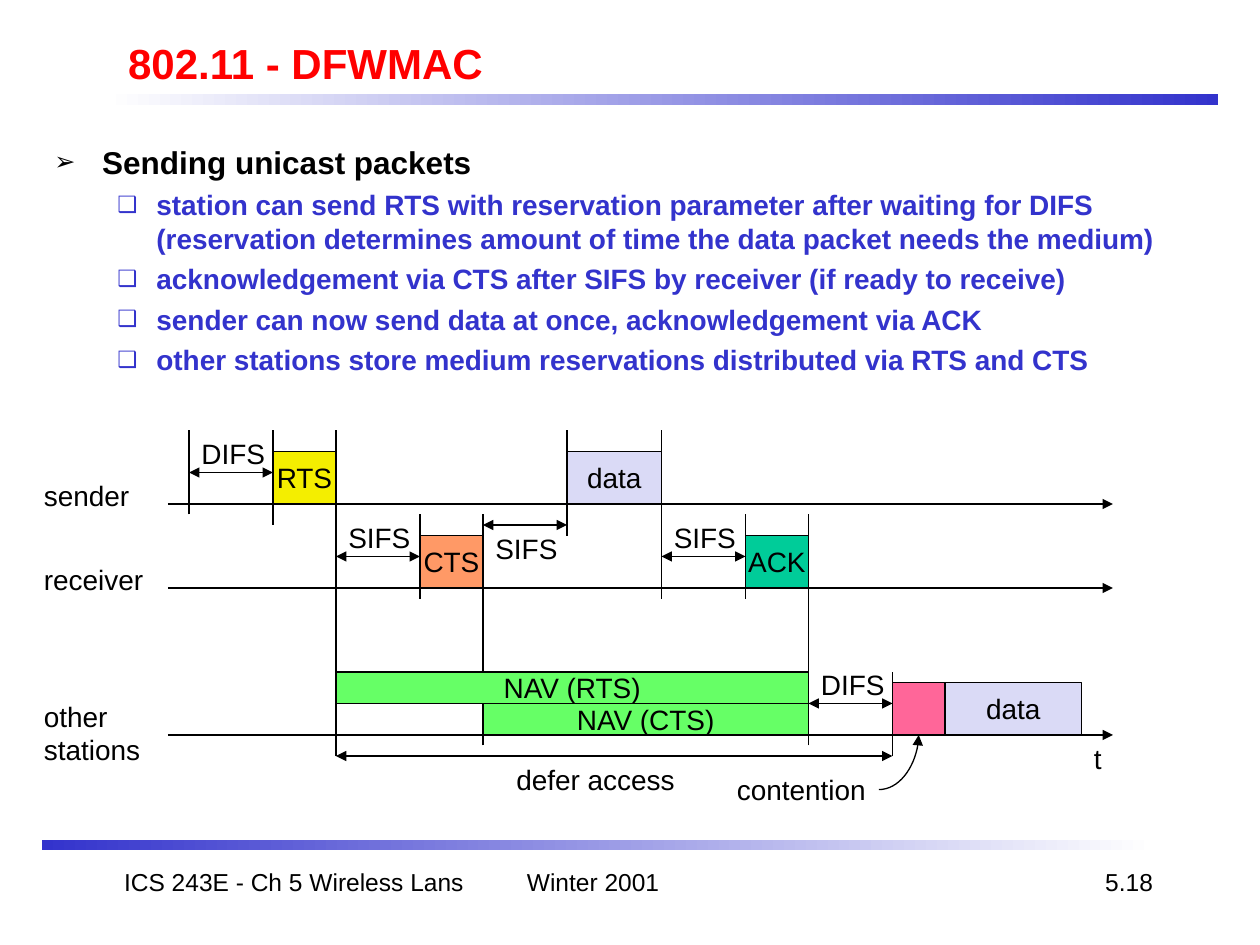
from lxml.etree import SubElement
from pptx import Presentation
from pptx.dml.color import RGBColor
from pptx.enum.shapes import MSO_CONNECTOR, MSO_SHAPE
from pptx.enum.text import MSO_ANCHOR, MSO_AUTO_SIZE, PP_ALIGN
from pptx.oxml.ns import qn
from pptx.util import Inches, Pt

BLACK = RGBColor(0x00, 0x00, 0x00)
WHITE = RGBColor(0xFF, 0xFF, 0xFF)
RED = RGBColor(0xFF, 0x00, 0x00)
BLUE = RGBColor(0x33, 0x33, 0xCC)
LAVENDER = RGBColor(0xDA, 0xDA, 0xF6)
TEAL = RGBColor(0x00, 0xCC, 0x99)
PINK = RGBColor(0xFF, 0x66, 0x99)
YELLOW = RGBColor(0xF4, 0xEE, 0x00)
ORANGE = RGBColor(0xFF, 0x99, 0x66)
GREEN = RGBColor(0x66, 0xFF, 0x66)

COLUMNS, ROWS = 120, 90
SLIDE_WIDTH, SLIDE_HEIGHT = Inches(10), Inches(7.5)

TITLE = "802.11 - DFWMAC"
TITLE_AREA = (11, 3, 102, 6)
BULLET_AREA = (4, 13, 114, 25)
BULLETS = [
    (0, "Sending unicast packets"),
    (1, "station can send RTS with reservation parameter after waiting for DIFS "
        "(reservation determines amount of time the data packet needs the medium)"),
    (1, "acknowledgement via CTS after SIFS by receiver (if ready to receive)"),
    (1, "sender can now send data at once, acknowledgement via ACK"),
    (1, "other stations store medium reservations distributed via RTS and CTS"),
]
BULLET_LEVELS = [
    dict(mark="➢", color=BLACK, size=18, margin=0.38, hanging=0.38, before=0),
    dict(mark="❑", color=BLUE, size=16, margin=0.81, hanging=0.31, before=4),
]
BARS = [((10, 9, 106, 1), (WHITE, BLUE)), ((4, 80, 106, 1), (BLUE, WHITE))]
FOOTERS = [
    ("ICS 243E - Ch 5 Wireless Lans", (9, 82, 38, 6), PP_ALIGN.CENTER),
    ("Winter 2001", (49, 82, 25, 6), PP_ALIGN.LEFT),
    ("5.18", (86, 82, 25, 6), PP_ALIGN.RIGHT),
]

WAIT, RTS, RTS_END, CTS, CTS_END = 18, 26, 32, 40, 46
DATA, DATA_END, ACK, ACK_END, CONTENTION, NEXT_DATA = 54, 63, 71, 77, 85, 90
SENDER, RECEIVER, OTHERS = 48, 56, 70
AXIS_START, AXIS_END = 16, 106

MARKERS = [
    (WAIT, 41, 49), (RTS, 41, 50), (RTS_END, 41, 72), (CTS, 49, 57),
    (CTS_END, 49, 71), (DATA, 41, 51), (DATA_END, 41, 57), (ACK, 49, 57),
    (ACK_END, 49, 71), (CONTENTION, 64, 72),
]
SPANS = [
    (WAIT, RTS, 45), (RTS_END, CTS, 53), (CTS_END, DATA, 50),
    (DATA_END, ACK, 53), (ACK_END, CONTENTION, 67), (RTS_END, CONTENTION, 72),
]
PACKETS = [
    ("RTS", RTS, RTS_END, SENDER, 5, YELLOW),
    ("data", DATA, DATA_END, SENDER, 5, LAVENDER),
    ("CTS", CTS, CTS_END, RECEIVER, 5, ORANGE),
    ("ACK", ACK, ACK_END, RECEIVER, 5, TEAL),
    ("NAV (RTS)", RTS_END, ACK_END, OTHERS - 3, 3, GREEN),
    ("NAV (CTS)", CTS_END, ACK_END, OTHERS, 3, GREEN),
    ("data", NEXT_DATA, 103, OTHERS, 5, LAVENDER),
    ("", CONTENTION, NEXT_DATA, OTHERS, 5, PINK),
]
LABELS = [
    ("sender", 3, 45, 10.6), ("receiver", 3, 53, 11.9),
    ("other\nstations", 3, 66, 11.6), ("t", 103, 70, 3.1),
    ("DIFS", WAIT, 41, 8.5), ("SIFS", RTS_END, 49, 8.3),
    ("SIFS", CTS_END, 50, 8.3), ("SIFS", DATA_END, 49, 8.3),
    ("DIFS", ACK_END, 63, 8.5), ("defer access", 48, 72, 17.5),
    ("contention", 69, 73, 14.7),
]
LABEL_FRAME = dict(word_wrap=False, auto_size=MSO_AUTO_SIZE.NONE, margin_right=0)
PACKET_FRAME = dict(word_wrap=False, vertical_anchor=MSO_ANCHOR.MIDDLE)
FIXED_FRAME = dict(word_wrap=True, auto_size=MSO_AUTO_SIZE.NONE)
LABEL_FRAME["word_wrap"] = True


def assign(target, values):
    for attribute, value in values.items():
        setattr(target, attribute, value)


def on_grid(left, top, width, height):
    return (round(left * SLIDE_WIDTH / COLUMNS), round(top * SLIDE_HEIGHT / ROWS),
            round(width * SLIDE_WIDTH / COLUMNS), round(height * SLIDE_HEIGHT / ROWS))


def write(frame, text, frame_format, size=16, color=BLACK, bold=False, align=PP_ALIGN.LEFT):
    frame.text = text
    assign(frame, frame_format)
    for paragraph in frame.paragraphs:
        paragraph.alignment = align
        for run in paragraph.runs:
            assign(run.font, dict(name="Arial", size=Pt(size), bold=bold))
            run.font.color.rgb = color


def add_label(slide, text, area, frame_format, **text_format):
    label = slide.shapes.add_textbox(*on_grid(*area))
    write(label.text_frame, text, frame_format, **text_format)
    return label


def add_box(slide, area):
    box = slide.shapes.add_shape(MSO_SHAPE.RECTANGLE, *on_grid(*area))
    box.shadow.inherit = False
    return box


def add_line(slide, start, end, arrows=(), kind=MSO_CONNECTOR.STRAIGHT):
    line = slide.shapes.add_connector(kind, *on_grid(*start, *end))
    line.line.width = Pt(0.75)
    line.line.color.rgb = BLACK
    for arrow in arrows:
        SubElement(line.line._get_or_add_ln(), qn(f"a:{arrow}"), type="triangle")
    SubElement(line._element.spPr, qn("a:effectLst"))
    return line


def add_bullets(slide):
    frame = slide.shapes.add_textbox(*on_grid(*BULLET_AREA)).text_frame
    assign(frame, FIXED_FRAME)
    for index, (level, text) in enumerate(BULLETS):
        style = BULLET_LEVELS[level]
        paragraph = frame.add_paragraph() if index else frame.paragraphs[0]
        assign(paragraph, dict(level=level, space_before=Pt(style["before"])))
        properties = paragraph._p.get_or_add_pPr()
        properties.set("marL", str(Inches(style["margin"])))
        properties.set("indent", str(-Inches(style["hanging"])))
        mark_color = SubElement(properties, qn("a:buClr"))
        SubElement(mark_color, qn("a:srgbClr"), val=str(style["color"]))
        SubElement(properties, qn("a:buSzPct"), val="80000")
        SubElement(properties, qn("a:buFont"), typeface="Arial")
        SubElement(properties, qn("a:buChar"), char=style["mark"])
        run = paragraph.add_run()
        run.text = text
        assign(run.font, dict(name="Arial", size=Pt(style["size"]), bold=True))
        run.font.color.rgb = style["color"]


def add_timeline(slide):
    for level in (SENDER, RECEIVER, OTHERS):
        add_line(slide, (AXIS_START, level), (AXIS_END, level), ["tailEnd"])
    for column, top, bottom in MARKERS:
        add_line(slide, (column, bottom), (column, top))
    for start, end, level in SPANS:
        add_line(slide, (start, level), (end, level), ["headEnd", "tailEnd"])
    for text, start, end, bottom, height, color in PACKETS:
        packet = add_box(slide, (start, bottom - height, end - start, height))
        packet.fill.solid()
        packet.fill.fore_color.rgb = color
        packet.line.color.rgb = BLACK
        packet.line.width = Pt(0.75)
        if text:
            write(packet.text_frame, text, PACKET_FRAME, align=PP_ALIGN.CENTER)
    for text, left, top, width in LABELS:
        height = 4.4 + 3.3 * text.count("\n")
        label = add_label(slide, text, (left, top, width, height), LABEL_FRAME)
    pointer = add_line(slide, (83.7, 75.2), (87.5, OTHERS), ["tailEnd"], MSO_CONNECTOR.CURVE)
    pointer._element.spPr.find(qn("a:prstGeom")).set("prst", "curvedConnector2")
    pointer.begin_connect(label, 3)
    pointer.end_connect(packet, 2)


def main():
    presentation = Presentation()
    assign(presentation, dict(slide_width=SLIDE_WIDTH, slide_height=SLIDE_HEIGHT))
    slide = presentation.slides.add_slide(presentation.slide_layouts[5])
    title = slide.shapes.title
    assign(title, dict(zip(("left", "top", "width", "height"), on_grid(*TITLE_AREA))))
    write(title.text_frame, TITLE, FIXED_FRAME | dict(vertical_anchor=MSO_ANCHOR.MIDDLE),
          size=24, color=RED, bold=True)
    for area, colors in BARS:
        bar = add_box(slide, area)
        bar.line.fill.background()
        bar.fill.gradient()
        bar.fill.gradient_angle = 0
        for stop, color in zip(bar.fill.gradient_stops, colors):
            stop.color.rgb = color
    for text, area, align in FOOTERS:
        add_label(slide, text, area, FIXED_FRAME, size=14, align=align)
    add_bullets(slide)
    add_timeline(slide)
    presentation.save("out.pptx")


if __name__ == "__main__":
    main()
